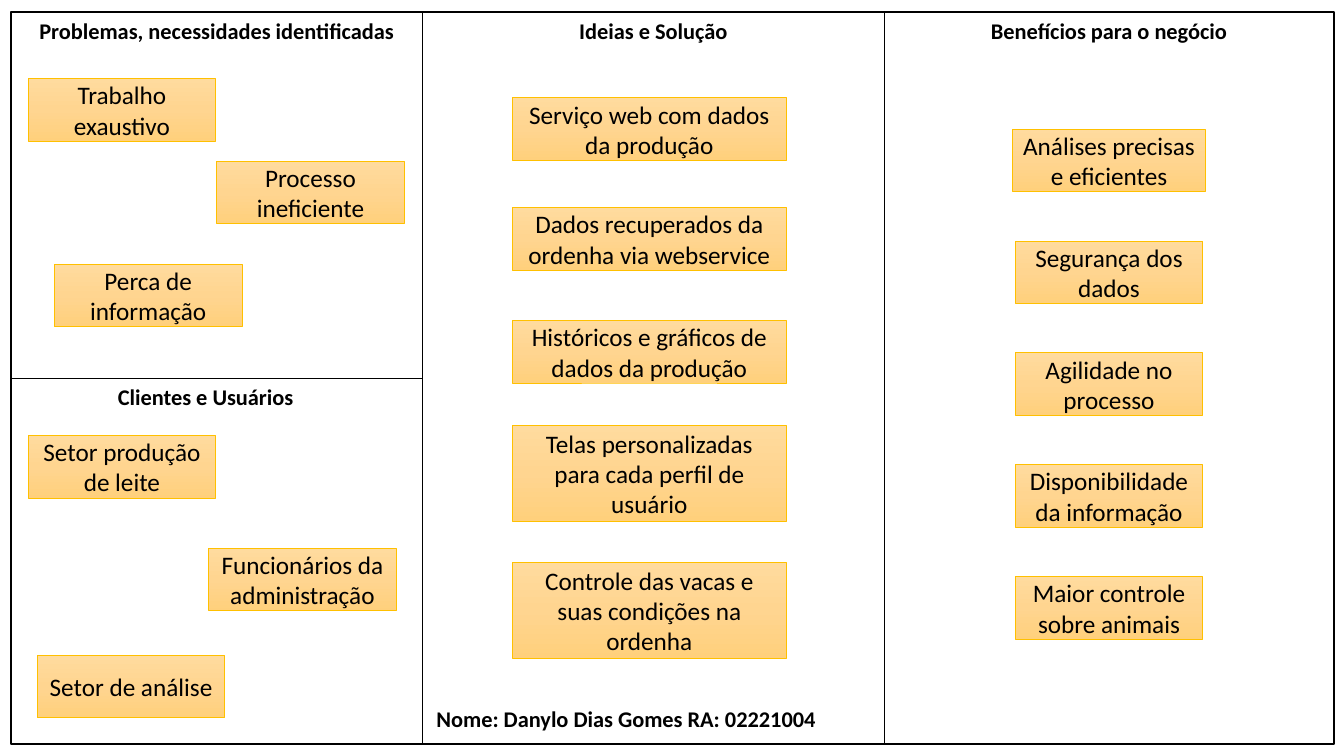
from copy import deepcopy

from lxml.etree import SubElement
from pptx import Presentation
from pptx.dml.color import RGBColor
from pptx.enum.shapes import MSO_CONNECTOR, MSO_SHAPE
from pptx.enum.text import MSO_ANCHOR, MSO_AUTO_SIZE, PP_ALIGN
from pptx.oxml.ns import qn
from pptx.util import Inches, Pt

BLACK = RGBColor(0x00, 0x00, 0x00)
WHITE = RGBColor(0xFF, 0xFF, 0xFF)
GOLD = RGBColor(0xFF, 0xC0, 0x00)
NOTE_TOP = RGBColor(0xFF, 0xDB, 0x9E)
NOTE_MIDDLE = RGBColor(0xFF, 0xD5, 0x90)
NOTE_BOTTOM = RGBColor(0xFF, 0xD0, 0x7C)


class Canvas:
    """Holds the slide and the shared style of its elements."""

    font = {"name": "Calibri"}
    heading_font = {"size": Pt(16), "bold": True}
    note_font = {"size": Pt(18), "bold": False}

    def __init__(self, slide):
        self.shapes = slide.shapes

    def add_text(self, frame, text, font, align):
        frame.word_wrap = True
        paragraph = frame.paragraphs[0]
        paragraph.alignment = align
        run = paragraph.add_run()
        run.text = text
        for key, value in {**self.font, **font}.items():
            setattr(run.font, key, value)
        run.font.color.rgb = BLACK

    def rectangle(self, box, line_color, line_width):
        rectangle = self.shapes.add_shape(MSO_SHAPE.RECTANGLE, *map(Inches, box))
        rectangle.shadow.inherit = False
        rectangle.line.color.rgb = line_color
        rectangle.line.width = Pt(line_width)
        return rectangle

    def frame(self, *box):
        outline = self.rectangle(box, BLACK, 1)
        outline.fill.solid()
        outline.fill.fore_color.rgb = WHITE

    def divider(self, *ends):
        divider = self.shapes.add_connector(MSO_CONNECTOR.STRAIGHT, *map(Inches, ends))
        divider.line.color.rgb = BLACK
        divider.line.width = Pt(0.5)
        SubElement(divider._element.spPr, qn("a:effectLst"))

    def heading(self, text, left, top, width=4.08, align=PP_ALIGN.CENTER):
        box = self.shapes.add_textbox(*map(Inches, (left, top, width, 0.37)))
        box.text_frame.auto_size = MSO_AUTO_SIZE.SHAPE_TO_FIT_TEXT
        self.add_text(box.text_frame, text, self.heading_font, align)

    def note(self, text, left, top, width=1.86, height=0.62):
        note = self.rectangle((left, top, width, height), GOLD, 0.5)
        note.fill.gradient()
        note.fill.gradient_angle = 270
        # The default gradient has two stops; add one for the middle
        stop_list = note._element.spPr.find(qn("a:gradFill")).find(qn("a:gsLst"))
        stop_list.insert(1, deepcopy(stop_list[0]))
        colors = (NOTE_TOP, NOTE_MIDDLE, NOTE_BOTTOM)
        for index, (stop, color) in enumerate(zip(note.fill.gradient_stops, colors)):
            stop.position = index / 2
            stop.color.rgb = color
        note.text_frame.vertical_anchor = MSO_ANCHOR.MIDDLE
        self.add_text(note.text_frame, text, self.note_font, PP_ALIGN.CENTER)


presentation = Presentation()
presentation.slide_width = Inches(13.33)
presentation.slide_height = Inches(7.5)
canvas = Canvas(presentation.slides.add_slide(presentation.slide_layouts[6]))

# Frame and dividers
LEFT, TOP, WIDTH, HEIGHT = 0.11, 0.12, 13.12, 7.26
IDEAS_LEFT, BENEFITS_LEFT, CLIENTS_TOP = 4.19, 8.77, 3.75
canvas.frame(LEFT, TOP, WIDTH, HEIGHT)
for column_left in (IDEAS_LEFT, BENEFITS_LEFT):
    canvas.divider(column_left, TOP, column_left, TOP + HEIGHT)
canvas.divider(LEFT, CLIENTS_TOP, IDEAS_LEFT, CLIENTS_TOP)

# Section headings
canvas.heading("Problemas, necessidades identificadas", LEFT, TOP)
canvas.heading("Clientes e Usuários", 0, CLIENTS_TOP)
canvas.heading("Ideias e Solução", 4.44, TOP)
canvas.heading("Benefícios para o negócio", 8.96, TOP)

# Problems, then clients and users
for text, left, top in (
    ("Trabalho exaustivo", 0.28, 0.78),
    ("Processo ineficiente", 2.15, 1.6),
    ("Perca de informação", 0.54, 2.62),
    ("Setor produção de leite", 0.28, 4.32),
    ("Funcionários da administração", 2.07, 5.44),
    ("Setor de análise", 0.37, 6.5),
):
    canvas.note(text, left, top)

# Ideas and solution
for text, top, height in (
    ("Serviço web com dados da produção", 0.97, 0.62),
    ("Dados recuperados da ordenha via webservice", 2.06, 0.62),
    ("Históricos e gráficos de dados da produção", 3.18, 0.62),
    ("Telas personalizadas para cada perfil de usuário", 4.22, 0.95),
    ("Controle das vacas e suas condições na ordenha", 5.58, 0.95),
):
    canvas.note(text, 5.08, top, 2.72, height)

# Benefits: evenly spaced, the first one slightly wider
BENEFITS = (
    "Análises precisas e eficientes",
    "Segurança dos dados",
    "Agilidade no processo",
    "Disponibilidade da informação",
    "Maior controle sobre animais",
)
for row, text in enumerate(BENEFITS):
    width = 1.86 if row else 1.91
    canvas.note(text, 11 - width / 2, 1.28 + 1.11 * row, width)

# Author
canvas.heading("Nome: Danylo Dias Gomes RA: 02221004", 4.23, 6.95, 4.55, PP_ALIGN.LEFT)

presentation.save("out.pptx")
